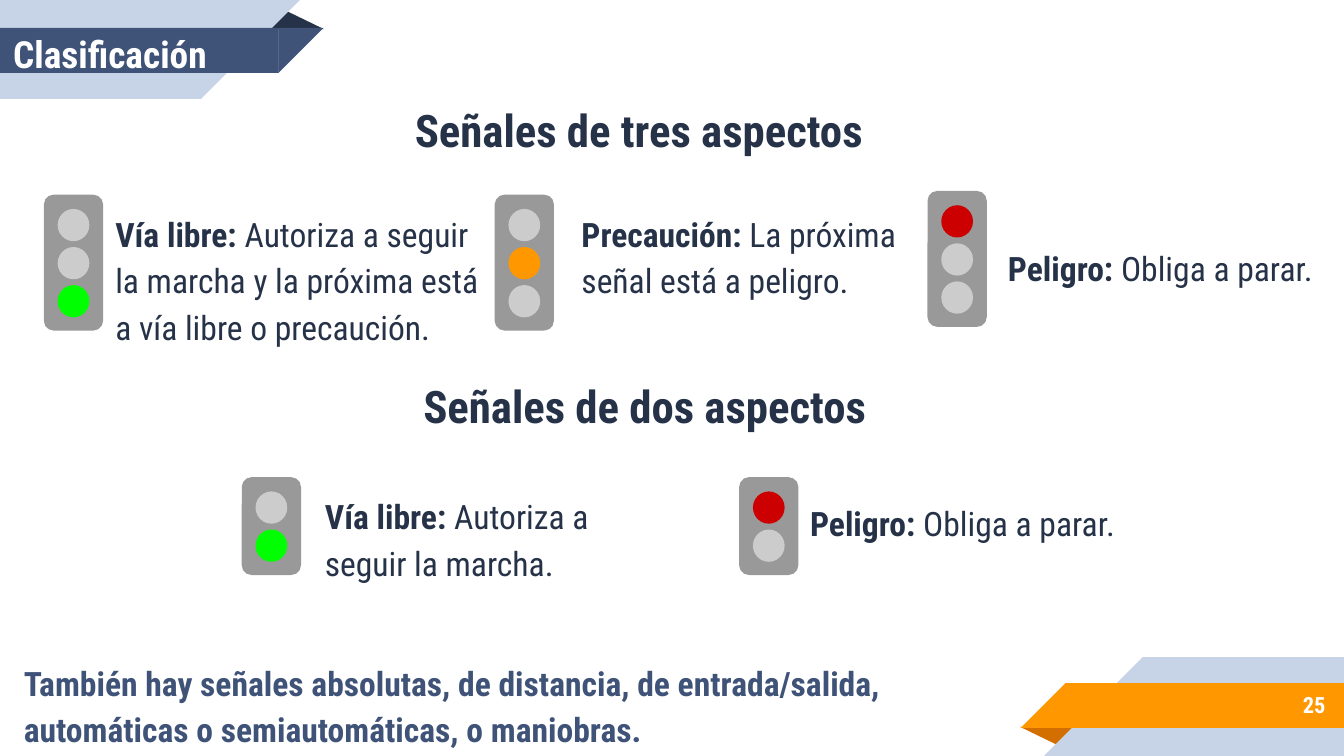
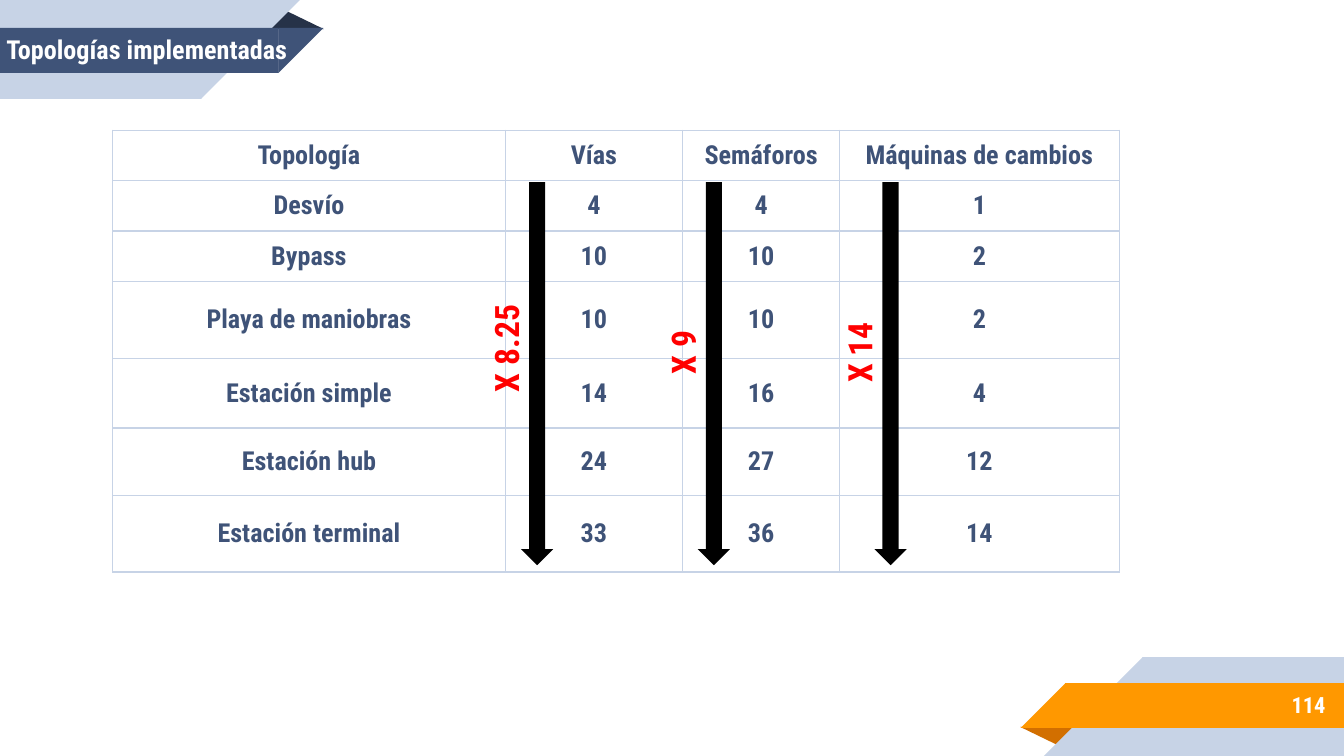
"""Builds two slides on railway signals: their classification and the implemented topologies."""
from dataclasses import dataclass

from lxml import etree
from pptx import Presentation
from pptx import util as u
from pptx.dml.color import RGBColor
from pptx.enum import shapes, text
from pptx.oxml.ns import qn


@dataclass(frozen=True)
class Theme:
    font: str = "Roboto Condensed"
    navy: str = "263248"
    blue: str = "3F5378"
    pale: str = "C7D3E6"
    orange: str = "FF9800"
    rust: str = "D26F00"
    white: str = "FFFFFF"
    black: str = "000000"
    mark: str = "FF0000"
    housing: str = "999999"
    off: str = "CCCCCC"
    green: str = "00FF00"
    red: str = "CC0000"
    heading: int = 24
    title: int = 20
    body: int = 18
    small: int = 14
    number: int = 12


T = Theme()
KIND = shapes.MSO_SHAPE
ALIGN = text.PP_ALIGN
MIDDLE = text.MSO_ANCHOR.MIDDLE
WIDTH, HEIGHT = 25.4, 14.29


def add_part(s, kind, at, colour, rotation=0):
    sp = s.shapes.add_shape(kind, *map(u.Cm, at))
    sp.shadow.inherit = False
    sp.fill.solid()
    sp.fill.fore_color.rgb = RGBColor.from_string(colour)
    sp.line.fill.background()
    sp.rotation = rotation
    return sp


def add_text(s, at, words, size, colour, lead="", align=ALIGN.LEFT, anchor=MIDDLE, spacing=None):
    sp = s.shapes.add_textbox(*map(u.Cm, at))
    tf = sp.text_frame
    tf.word_wrap = True
    tf.vertical_anchor = anchor
    tf.margin_left = tf.margin_right = tf.margin_top = tf.margin_bottom = u.Cm(0.25)
    p = tf.paragraphs[0]
    p.alignment = align
    p.line_spacing = spacing
    p.font.name, p.font.size = T.font, u.Pt(size)
    p.font.color.rgb = RGBColor.from_string(colour)
    if lead:
        for part, bold in ((lead, True), (words, False)):
            r = p.add_run()
            r.text, r.font.bold = part, bold
    else:
        p.add_run().text = words
        p.font.bold = True
    return sp


prs = Presentation()
prs.slide_width, prs.slide_height = u.Cm(WIDTH), u.Cm(HEIGHT)

ribbon = [
    (KIND.ISOSCELES_TRIANGLE, (5.03, 0.19, 1.09, 0.36), "fold", 0),
    (KIND.RECTANGLE, (0, 0, 3.81, 1.87), "back", 0),
    (KIND.RIGHT_TRIANGLE, (3.8, 0, 1.87, 1.87), "back", 90),
    (KIND.RECTANGLE, (0, 0.53, 5.27, 0.85), "band", 0),
    (KIND.RIGHT_TRIANGLE, (5.26, 0.53, 0.85, 0.85), "band", 90),
]
corners = [
    (True, {"fold": T.rust, "back": T.pale, "band": T.orange}),
    (False, {"fold": T.navy, "back": T.pale, "band": T.blue}),
]
pages = [
    ("Clasificación", (0, 0.64, 4.57, 0.76), T.title, "25"),
    ("Topologías implementadas", (-0.13, 0.36, 6.93, 1.14), T.small, "114"),
]
for title, title_at, title_size, number in pages:
    s = prs.slides.add_slide(prs.slide_layouts[6])
    for turned, colours in corners:
        for kind, (x, y, w, h), role, rotation in ribbon:
            if turned:
                x, y, rotation = WIDTH - x - w, HEIGHT - y - h, rotation + 180
            sp = add_part(s, kind, (x, y, w, h), colours[role], rotation)
            if kind == KIND.ISOSCELES_TRIANGLE:
                sp.adjustments[0] = 0.32
    add_text(s, title_at, title, title_size, T.white)
    add_text(s, (21.16, 12.88, 4.14, 0.89), number, T.number, T.white, align=ALIGN.RIGHT)

signals_slide, table_slide = prs.slides

for at, words, size, colour in [
    ((7.59, 1.6, 9.47, 1.55), "Señales de tres aspectos", T.heading, T.navy),
    ((7.75, 6.4, 8.89, 2.39), "Señales de dos aspectos", T.heading, T.navy),
    ((0.2, 12.52, 19.35, 1.55), "También hay señales absolutas, de distancia, de entrada/salida, "
     "automáticas o semiautomáticas, o maniobras.", T.body, T.blue),
]:
    add_text(signals_slide, at, words, size, colour, spacing=1.15)

signals = [
    ((0.83, 3.68), (T.off, T.off, T.green), (1.93, 3.68, 7.42, 3.05),
     "Vía libre: ", "Autoriza a seguir la marcha y la próxima está a vía libre o precaución."),
    ((9.35, 3.68), (T.off, T.orange, T.off), (10.74, 3.68, 6.78, 2.16),
     "Precaución: ", "La próxima señal está a peligro."),
    ((17.53, 3.61), (T.red, T.off, T.off), (18.8, 4.32, 6.6, 1.27),
     "Peligro: ", "Obliga a parar."),
    ((4.57, 9.02), (T.off, T.green), (5.89, 9.02, 7.01, 2.16),
     "Vía libre: ", "Autoriza a seguir la marcha."),
    ((13.97, 9.02), (T.red, T.off), (15.06, 9.14, 7.01, 1.27),
     "Peligro: ", "Obliga a parar."),
]
lamp_pitch = 0.72
for (x, y), lamps, text_at, lead, words in signals:
    housing_at = (x, y, 1.12, 0.41 + lamp_pitch * len(lamps))
    add_part(signals_slide, KIND.ROUNDED_RECTANGLE, housing_at, T.housing)
    for i, colour in enumerate(lamps):
        add_part(signals_slide, KIND.OVAL, (x + 0.26, y + 0.27 + i * lamp_pitch, 0.6, 0.61), colour)
    add_text(signals_slide, text_at, words, T.body, T.navy, lead,
             anchor=text.MSO_ANCHOR.TOP, spacing=1.15)

rows = [
    ("Topología", "Vías", "Semáforos", "Máquinas de cambios"),
    ("Desvío", "4", "4", "1"),
    ("Bypass", "10", "10", "2"),
    ("Playa de maniobras", "10", "10", "2"),
    ("Estación simple", "14", "16", "4"),
    ("Estación hub", "24", "27", "12"),
    ("Estación terminal", "33", "36", "14"),
]
col_widths = (7.42, 3.35, 2.97, 5.28)
row_heights = (0.92, 0.92, 0.92, 1.45, 1.32, 1.27, 1.45)
table = table_slide.shapes.add_table(
    len(rows), len(col_widths), u.Cm(2.13), u.Cm(2.46),
    u.Cm(sum(col_widths)), u.Cm(sum(row_heights))).table
table.first_row = table.horz_banding = False
for col, width in zip(table.columns, col_widths):
    col.width = u.Cm(width)
for row, height, values in zip(table.rows, row_heights, rows):
    row.height = u.Cm(height)
    for cell, value in zip(row.cells, values):
        cell.text = value
        cell.vertical_anchor = MIDDLE
        cell.margin_left = cell.margin_right = u.Cm(0.25)
        cell.margin_top = cell.margin_bottom = u.Cm(0.18)
        p = cell.text_frame.paragraphs[0]
        p.alignment = ALIGN.CENTER
        p.font.name, p.font.size, p.font.bold = T.font, u.Pt(T.small), True
        p.font.color.rgb = RGBColor.from_string(T.blue)
        tc_pr = cell._tc.get_or_add_tcPr()
        for side in ("a:lnL", "a:lnR", "a:lnT", "a:lnB"):
            ln = etree.SubElement(tc_pr, qn(side), w=str(u.Pt(0.75)))
            fill = etree.SubElement(ln, qn("a:solidFill"))
            etree.SubElement(fill, qn("a:srgbClr"), val=T.pale)
        cell.fill.background()

for i, (factor, top) in enumerate([("X 8.25", 5.99), ("X 9", 6.07), ("X 14", 6.07)]):
    shift = i * 3.34
    add_part(table_slide, KIND.RIGHT_ARROW, (6.53 + shift, 6.76, 7.24, 0.61), T.black, 90)
    sp = add_text(table_slide, (8.4 + shift, top, 2.24, 1.19), factor, T.body, T.mark,
                  align=ALIGN.CENTER, anchor=text.MSO_ANCHOR.TOP)
    sp.rotation = 270

prs.save("out.pptx")
